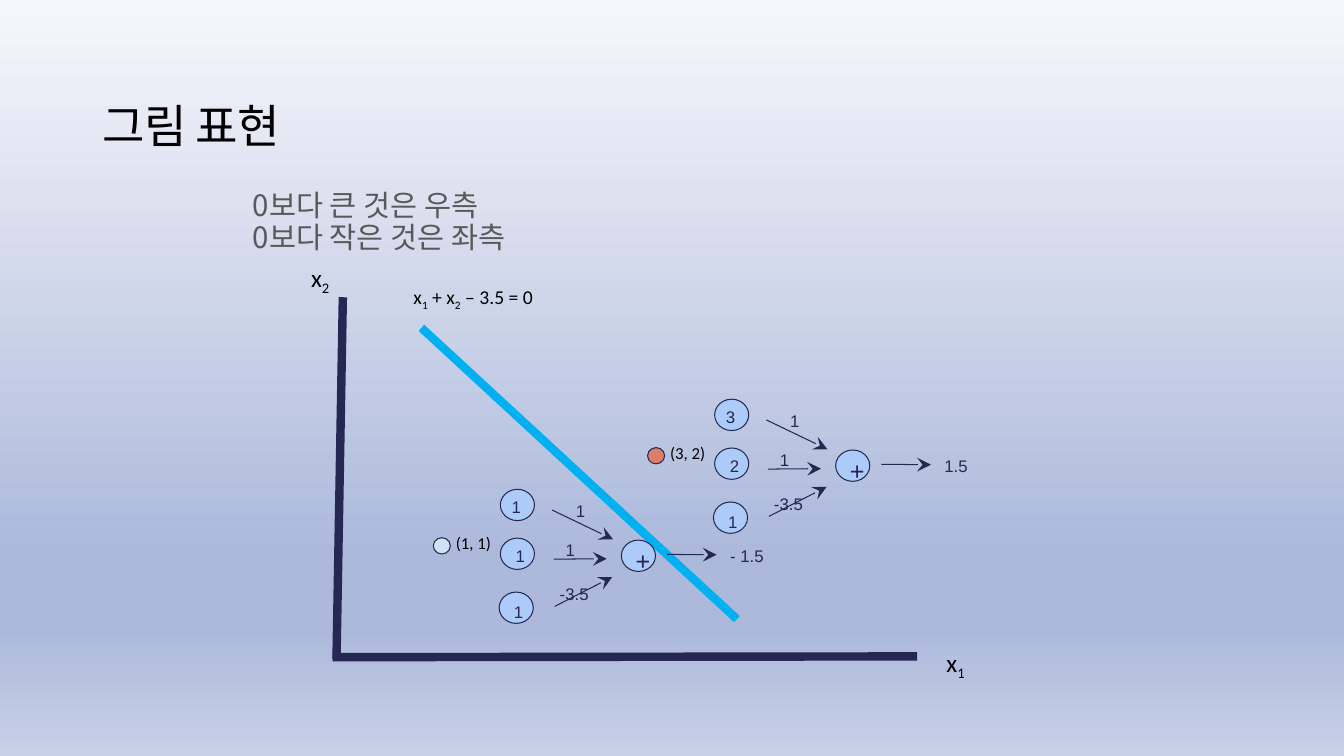
from dataclasses import dataclass

from lxml import etree
from pptx import Presentation
from pptx.dml.color import RGBColor
from pptx.enum.shapes import MSO_CONNECTOR, MSO_SHAPE
from pptx.enum.text import MSO_ANCHOR, MSO_AUTO_SIZE, PP_ALIGN
from pptx.oxml.ns import qn
from pptx.util import Cm, Pt

STRAIGHT = MSO_CONNECTOR.STRAIGHT
OVAL = MSO_SHAPE.OVAL
POINT = MSO_SHAPE.FLOWCHART_CONNECTOR
LEFT, CENTER = PP_ALIGN.LEFT, PP_ALIGN.CENTER
MIDDLE, TOP = MSO_ANCHOR.MIDDLE, MSO_ANCHOR.TOP
FIXED = MSO_AUTO_SIZE.NONE


@dataclass(frozen=True)
class Theme:
    """Colours, fonts, type sizes and line widths of the slide."""
    ink: str = "242852"
    black: str = "000000"
    grey: str = "595959"
    boundary: str = "00B0F0"
    node: str = "ACCBF9"
    positive: str = "DD7E6B"
    negative: str = "CFE2F3"
    backdrop: tuple = ((0, "F6F7FB"), (74, "ACB9DB"), (83, "ACB9DB"), (100, "C8D1E7"))
    text_font: str = "Calibri"
    label_font: str = "Arial"
    korean_font: str = "Noto Sans CJK KR"
    title_size: int = 33
    body_size: int = 21
    axis_size: int = 18
    formula_size: int = 14
    label_size: int = 12
    thick: float = 6
    thin: float = 0.75


THEME = Theme()


def paint_backdrop(slide):
    """Fill the slide with the vertical gradient."""
    fill = slide.background.fill
    fill.gradient()
    fill.gradient_angle = 270
    stops = slide.element.find(".//" + qn("a:gsLst"))
    for stop in list(stops):
        stops.remove(stop)
    for percent, color in THEME.backdrop:
        stop = etree.SubElement(stops, qn("a:gs"), pos=str(percent * 1000))
        etree.SubElement(stop, qn("a:srgbClr"), val=color)


def add_run(paragraph, text, size, font, color):
    """Append one formatted run and return it."""
    run = paragraph.add_run()
    run.text = text
    run.font.size = Pt(size)
    run.font.name = font
    run.font.color.rgb = RGBColor.from_string(color)
    return run


def use_korean(run):
    """Set the East Asian font of a run."""
    etree.SubElement(run.font._element, qn("a:ea"), typeface=THEME.korean_font)


def place(shape, left, top, width, height):
    """Move and size a placeholder, in centimetres."""
    shape.left, shape.top = Cm(left), Cm(top)
    shape.width, shape.height = Cm(width), Cm(height)


def set_title(slide, text):
    """Fill and format the title placeholder."""
    title = slide.shapes.title
    place(title, 2.34, 2.34, 29.2, 1.8)
    frame = title.text_frame
    frame.auto_size = FIXED
    frame.vertical_anchor = MIDDLE
    paragraph = frame.paragraphs[0]
    paragraph.alignment = LEFT
    paragraph.line_spacing = 0.9
    run = add_run(paragraph, text, THEME.title_size, THEME.text_font, THEME.black)
    run.font._element.set("spc", "-60")
    use_korean(run)


def set_rules(slide, rules):
    """Fill and format the body placeholder, one paragraph per rule."""
    body = slide.placeholders[1]
    place(body, 6.12, 4.57, 20.83, 2.08)
    frame = body.text_frame
    frame.auto_size = FIXED
    frame.vertical_anchor = TOP
    frame.margin_top = frame.margin_bottom = Cm(0.25)
    for index, rule in enumerate(rules):
        paragraph = frame.add_paragraph() if index else frame.paragraphs[0]
        properties = paragraph._p.get_or_add_pPr()
        properties.set("marL", str(Cm(0.48)))
        properties.set("indent", str(Cm(-0.48)))
        etree.SubElement(properties, qn("a:buNone"))
        paragraph.line_spacing = 0.9
        paragraph.space_before = Pt(0)
        run = add_run(paragraph, rule, THEME.body_size, THEME.korean_font, THEME.grey)
        use_korean(run)


def add_box(slide, left, top, width, height, margin=0.25):
    """Add a wrapping text box and return its first paragraph."""
    frame = slide.shapes.add_textbox(Cm(left), Cm(top), Cm(width), Cm(height)).text_frame
    frame.word_wrap = True
    frame.margin_top = frame.margin_bottom = Cm(margin)
    return frame.paragraphs[0]


def add_formula(slide, parts, size, left, top, width, height, margin=0.25):
    """Write text whose every second part is a subscript."""
    paragraph = add_box(slide, left, top, width, height, margin)
    for index, part in enumerate(parts):
        run = add_run(paragraph, part, size, THEME.text_font, THEME.black)
        if index % 2:
            run.font._element.set("baseline", "-25000")


def add_label(slide, text, left, top, width, align=CENTER, size=THEME.label_size):
    """Write a network label."""
    paragraph = add_box(slide, left, top, width, 0.69)
    paragraph.alignment = align
    paragraph.line_spacing = 1.15
    paragraph.space_after = Pt(16)
    add_run(paragraph, text, size, THEME.label_font, THEME.ink)


def add_line(slide, start, end, color=THEME.ink, width=THEME.thin, arrow=False):
    """Draw a straight line, optionally with an arrowhead at its end."""
    line = slide.shapes.add_connector(STRAIGHT, *map(Cm, start + end))
    line.line.color.rgb = RGBColor.from_string(color)
    line.line.width = Pt(width)
    if arrow:
        etree.SubElement(line.line._get_or_add_ln(), qn("a:tailEnd"),
                         type="stealth", w="lg", len="lg")
    etree.SubElement(line._element.spPr, qn("a:effectLst"))


def add_disc(slide, left, top, width, height, color, kind=OVAL):
    """Draw an outlined disc."""
    disc = slide.shapes.add_shape(kind, Cm(left), Cm(top), Cm(width), Cm(height))
    disc.shadow.inherit = False
    disc.fill.solid()
    disc.fill.fore_color.rgb = RGBColor.from_string(color)
    disc.line.color.rgb = RGBColor.from_string(THEME.ink)
    disc.line.width = Pt(THEME.thin)


def add_perceptron(slide, x, y, inputs, output, point, point_color):
    """Draw a data point and the network that evaluates it."""
    for dx, dy in ((0, 0), (0, 1.23), (-0.03, 2.59), (3.05, 1.28)):
        add_disc(slide, x + dx, y + dy, 0.86, 0.79, THEME.node)
    for x1, y1, x2, y2 in ((1.3, 0.52, 2.84, 1.26), (1.34, 1.76, 2.68, 1.75),
                           (1.37, 2.95, 2.82, 2.21), (4.2, 1.64, 5.45, 1.65)):
        add_line(slide, (x + x1, y + y1), (x + x2, y + y2), arrow=True)
    input_spots = ((-0.03, -0.14, 0.86), (-0.11, 1.1, 1.22), (0.09, 2.51, 0.71))
    weight_spots = ((1.59, -0.04, 0.86), (1.33, 0.94, 0.86), (1.16, 2.06, 1.4))
    for text, (dx, dy, width) in zip((*inputs, "1", "1", "-3.5"), input_spots + weight_spots):
        add_label(slide, text, x + dx, y + dy, width)
    add_label(slide, "+", x + 3.16, y + 1.05, 0.71, size=THEME.axis_size)
    add_label(slide, output, x + 5.54, y + 1.1, 4.24, LEFT)
    add_disc(slide, x - 1.69, y + 1.22, 0.43, 0.41, point_color, POINT)
    add_formula(slide, [point], THEME.label_size, x - 1.37, y + 0.85, 1.98, 1.02)


def main():
    """Build and save the slide."""
    deck = Presentation()
    deck.slide_width, deck.slide_height = Cm(33.87), Cm(19.05)
    slide = deck.slides.add_slide(deck.slide_layouts[1])
    paint_backdrop(slide)
    set_title(slide, "그림 표현")
    set_rules(slide, ("0보다 큰 것은 우측", "0보다 작은 것은 좌측"))
    add_line(slide, (8.38, 16.56), (23.11, 16.54), width=THEME.thick)
    add_line(slide, (10.62, 8.26), (18.57, 15.6), THEME.boundary, THEME.thick)
    add_line(slide, (8.64, 7.49), (8.48, 16.61), width=THEME.thick)
    add_formula(slide, ("x", "2"), THEME.axis_size, 7.59, 6.35, 2.08, 0.99)
    add_formula(slide, ("x", "1"), THEME.axis_size, 23.6, 16.05, 2.08, 0.99)
    add_formula(slide, (" x", "1", " + x", "2", " – 3.5 = 0"), THEME.formula_size,
                10.06, 7.06, 5.05, 0.86, 0.13)
    add_perceptron(slide, 18.01, 10.06, ("3", "2", "1"), "1.5", "(3, 2)", THEME.positive)
    add_perceptron(slide, 12.61, 12.33, ("1", "1", "1"), "- 1.5", "(1, 1)", THEME.negative)
    deck.save("out.pptx")


if __name__ == "__main__":
    main()
